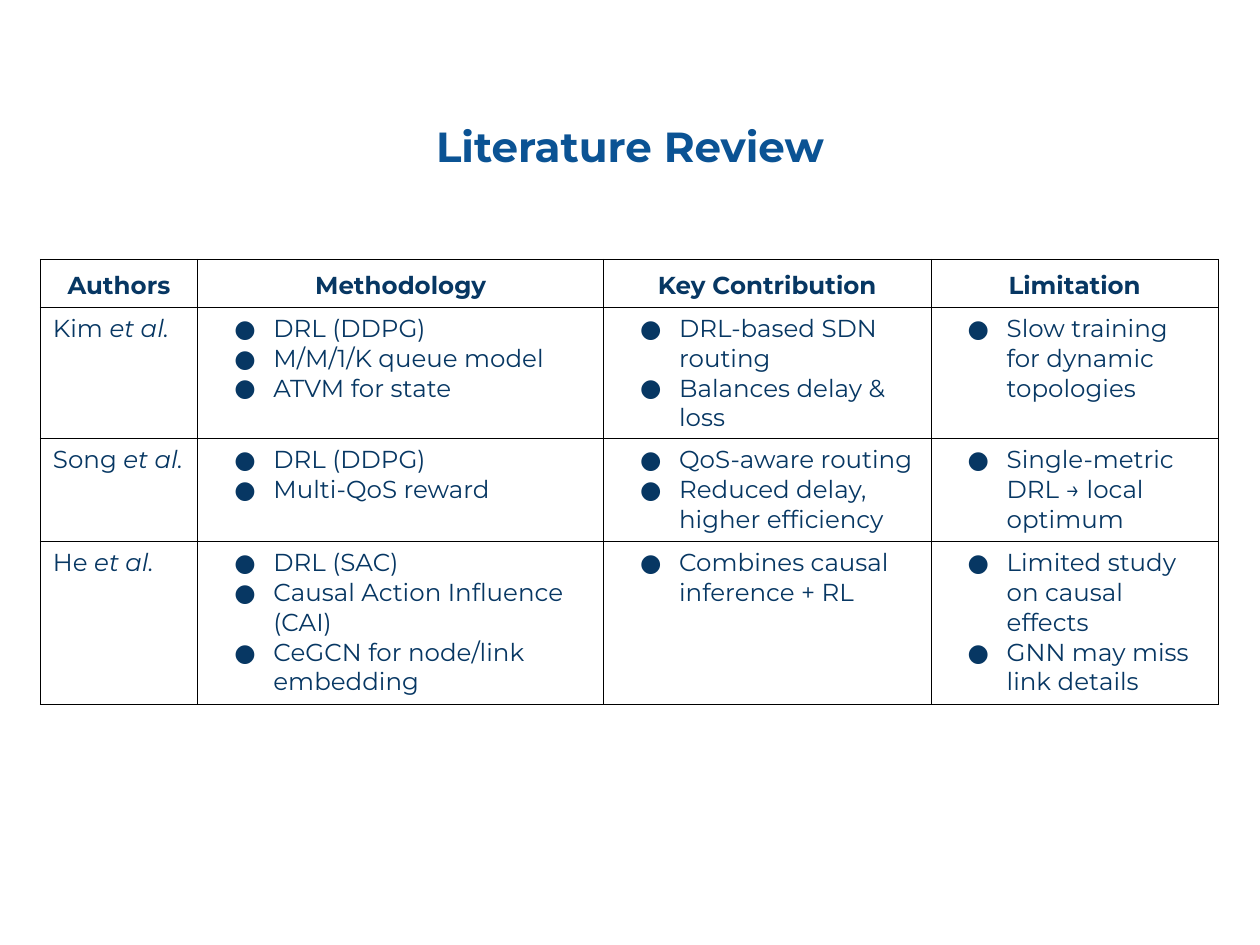
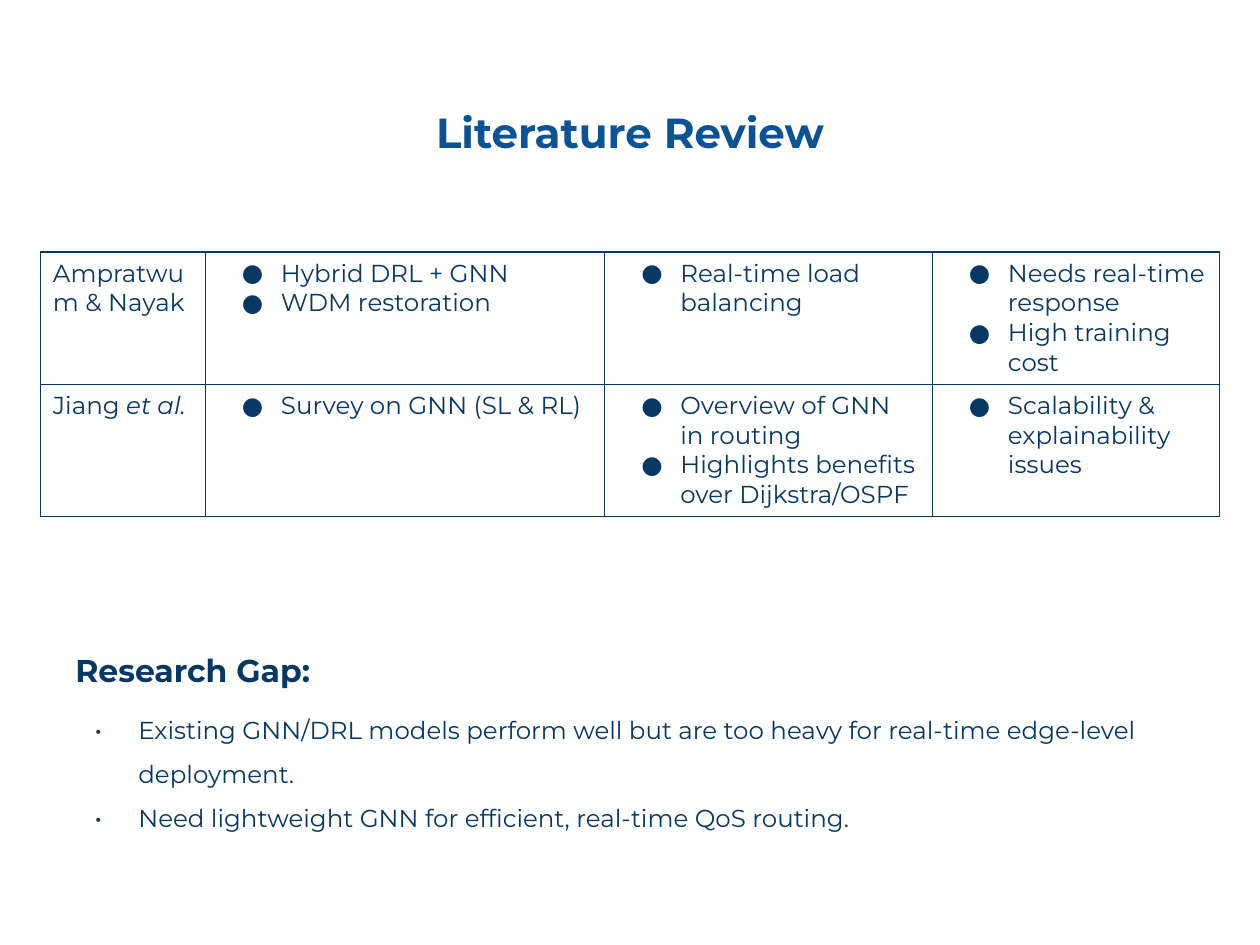
from lxml.etree import SubElement
from pptx import Presentation
from pptx.dml.color import RGBColor
from pptx.enum.text import MSO_ANCHOR as Anchor, PP_ALIGN as Align
from pptx.oxml.ns import qn
from pptx.util import Inches, Pt

FONT = "Montserrat"
TITLE_BLUE, NAVY, BLACK = "0B5394", "073763", "000000"
TABLE_LEFT = 0.32
WIDE_COLUMNS = [2.6, 2.28]


def color(value):
    """Turn a hex string into a colour."""
    return RGBColor.from_string(value)


def set_format(target, **values):
    """Set each named attribute on the target."""
    for name, value in values.items():
        setattr(target, name, value)


class Deck:
    """Holds the shared style and the current slide."""

    def __init__(self):
        """Start an empty 10 by 7.5 inch presentation."""
        self.presentation = Presentation()
        set_format(self.presentation, slide_width=Inches(10), slide_height=Inches(7.5))
        self.slide = None

    def add_slide(self, title, top, height):
        """Add a blank slide with a centred title."""
        self.slide = self.presentation.slides.add_slide(self.presentation.slide_layouts[6])
        frame = self.text_box(0.5, top, 9, height)
        frame.vertical_anchor = Anchor.MIDDLE
        self.add_text(frame.paragraphs[0], title, 24, TITLE_BLUE, True, alignment=Align.CENTER)

    def text_box(self, left, top, width, height):
        """Add a wrapping text box and return its frame."""
        box = self.slide.shapes.add_textbox(*map(Inches, (left, top, width, height)))
        box.text_frame.word_wrap = True
        return box.text_frame

    def add_text(self, paragraph, text, size=14, text_color=NAVY, bold=False, **layout):
        """Fill a paragraph, with parts between asterisks in italics."""
        set_format(paragraph, **layout)
        for index, part in enumerate(text.split("*")):
            if part:
                run = paragraph.add_run()
                run.text = part
                set_format(run.font, name=FONT, size=Pt(size), bold=bold, italic=index % 2 == 1)
                run.font.color.rgb = color(text_color)

    def bullet(self, paragraph, mark, hanging, percent=100):
        """Give a paragraph a navy bullet with a hanging indent."""
        properties = paragraph._p.get_or_add_pPr()
        properties.set("marL", str(Inches(0.5)))
        properties.set("indent", str(-Inches(hanging)))
        fill = SubElement(properties, qn("a:buClr"))
        SubElement(fill, qn("a:srgbClr"), val=NAVY)
        SubElement(properties, qn("a:buSzPct"), val=str(percent * 1000))
        SubElement(properties, qn("a:buFont"), typeface=FONT)
        SubElement(properties, qn("a:buChar"), char=mark)

    def border(self, cell, line_color):
        """Draw a thin line on all four sides of a cell."""
        properties = cell._tc.get_or_add_tcPr()
        for side in "LRTB":
            line = SubElement(properties, qn(f"a:ln{side}"), w=str(Pt(0.75)))
            fill = SubElement(line, qn("a:solidFill"))
            SubElement(fill, qn("a:srgbClr"), val=line_color)

    def table(self, top, columns, heights, rows, line_color, header=None):
        """Add a table whose list cells become bullets."""
        content = ([header] if header else []) + rows
        size = (TABLE_LEFT, top, sum(columns), sum(heights))
        table = self.slide.shapes.add_table(
            len(content), len(columns), *map(Inches, size)).table
        set_format(table, first_row=False, horz_banding=False)
        for column, width in zip(table.columns, columns):
            column.width = Inches(width)
        for row, height, values in zip(table.rows, heights, content):
            row.height = Inches(height)
            for cell, value in zip(row.cells, values):
                self.border(cell, line_color)
                cell.fill.background()
                self.fill_cell(cell.text_frame, value, values is header)

    def fill_cell(self, frame, value, is_header):
        """Fill in a heading, an author or a list of points."""
        if is_header:
            self.add_text(frame.paragraphs[0], value, bold=True,
                          alignment=Align.CENTER, line_spacing=1.15)
        elif isinstance(value, str):
            self.add_text(frame.paragraphs[0], value)
        else:
            for index, point in enumerate(value):
                paragraph = frame.add_paragraph() if index else frame.paragraphs[0]
                self.bullet(paragraph, "●", 0.31)
                self.add_text(paragraph, point)

    def summary(self, heading, points):
        """Add a bold heading followed by bulleted points."""
        frame = self.text_box(0.5, 4.97, 9, 1.51)
        self.add_text(frame.paragraphs[0], heading, 18, bold=True, line_spacing=1.5)
        for index, point in enumerate(points):
            paragraph = frame.add_paragraph()
            self.bullet(paragraph, "•", 0.35, 108)
            self.add_text(paragraph, point, line_spacing=1.5,
                          space_before=Pt(0 if index else 6.4))


def main():
    """Build both literature review slides."""
    deck = Deck()
    deck.add_slide("Literature Review", 0.53, 1.25)
    deck.table(
        2.06, [1.25, 3.22] + WIDE_COLUMNS, [0.38, 1.04, 0.82, 1.29],
        [
            ["Kim *et al.*",
             ["DRL (DDPG)", "M/M/1/K queue model", "ATVM for state"],
             ["DRL-based SDN routing", "Balances delay & loss"],
             ["Slow training for dynamic topologies"]],
            ["Song *et al.*",
             ["DRL (DDPG)", "Multi-QoS reward"],
             ["QoS-aware routing", "Reduced delay, higher efficiency"],
             ["Single-metric DRL → local optimum"]],
            ["He *et al.*",
             ["DRL (SAC)", "Causal Action Influence (CAI)",
              "CeGCN for node/link embedding"],
             ["Combines causal inference + RL"],
             ["Limited study on causal effects", "GNN may miss link details"]],
        ],
        BLACK, header=["Authors", "Methodology", "Key Contribution", "Limitation"])

    deck.add_slide("Literature Review", 0.54, 1.01)
    deck.summary("Research Gap:", [
        "Existing GNN/DRL models perform well but are too heavy for "
        "real-time edge-level deployment.",
        "Need lightweight GNN for efficient, real-time QoS routing."])
    deck.table(
        2, [1.31, 3.17] + WIDE_COLUMNS, [1.05, 1.05],
        [
            ["Ampratwum & Nayak",
             ["Hybrid DRL + GNN", "WDM restoration"],
             ["Real-time load balancing"],
             ["Needs real-time response", "High training cost"]],
            ["Jiang *et al.*",
             ["Survey on GNN (SL & RL)"],
             ["Overview of GNN in routing", "Highlights benefits over Dijkstra/OSPF"],
             ["Scalability & explainability issues"]],
        ],
        NAVY)
    deck.presentation.save("out.pptx")


if __name__ == "__main__":
    main()
